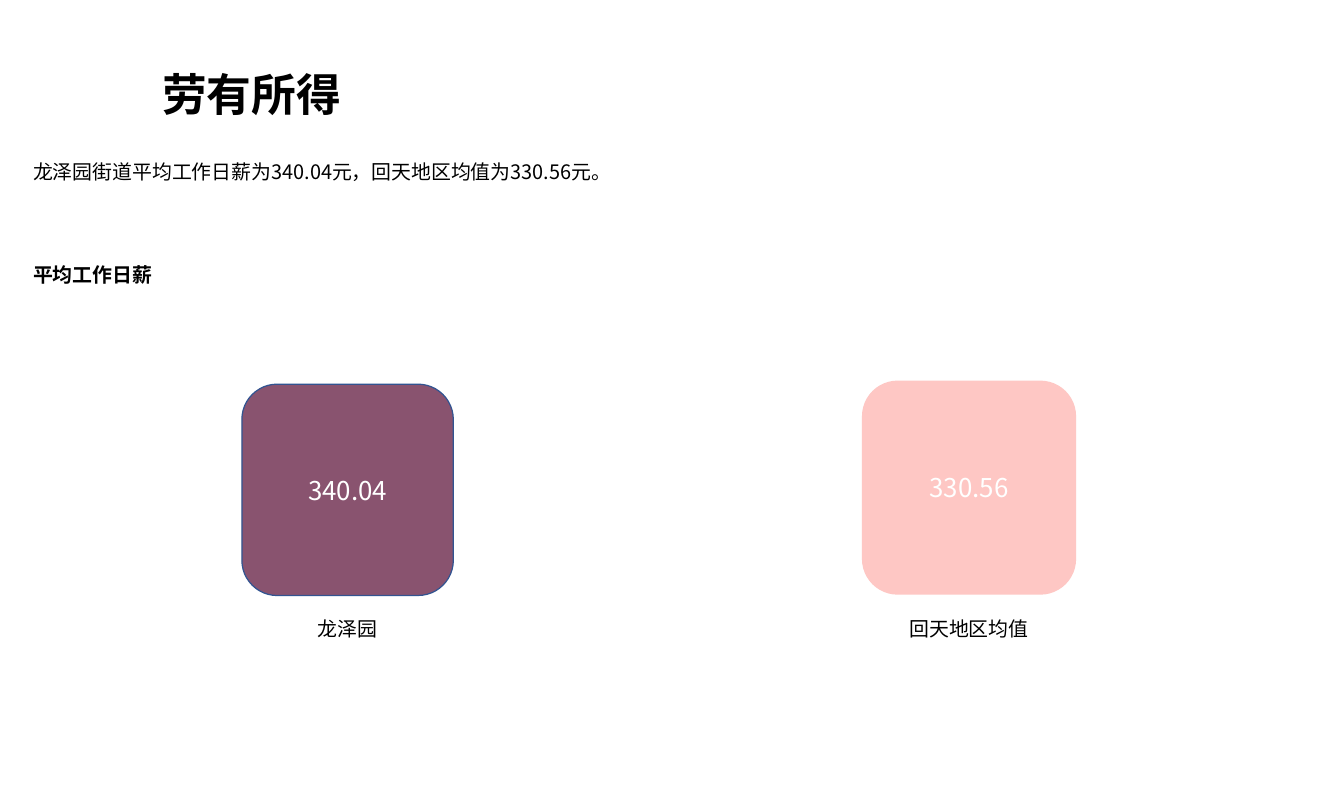
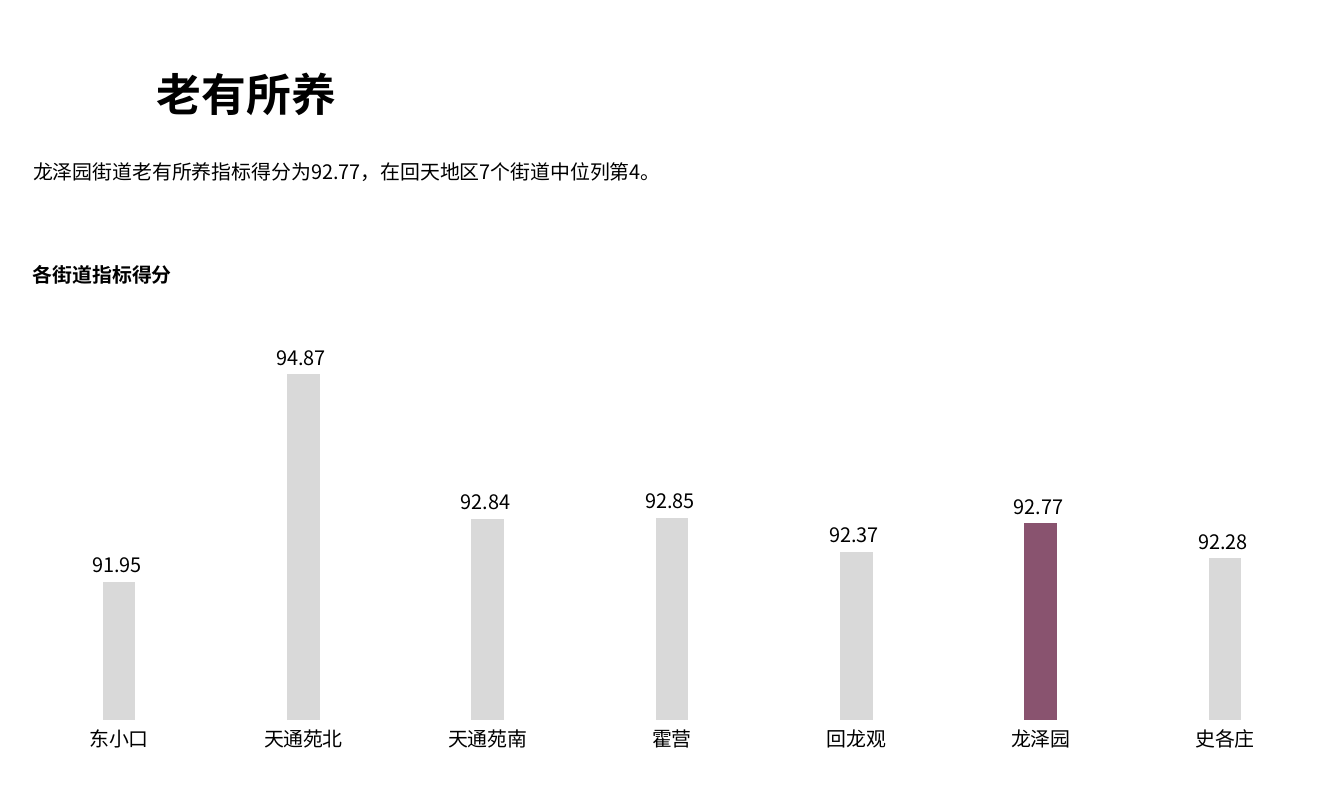
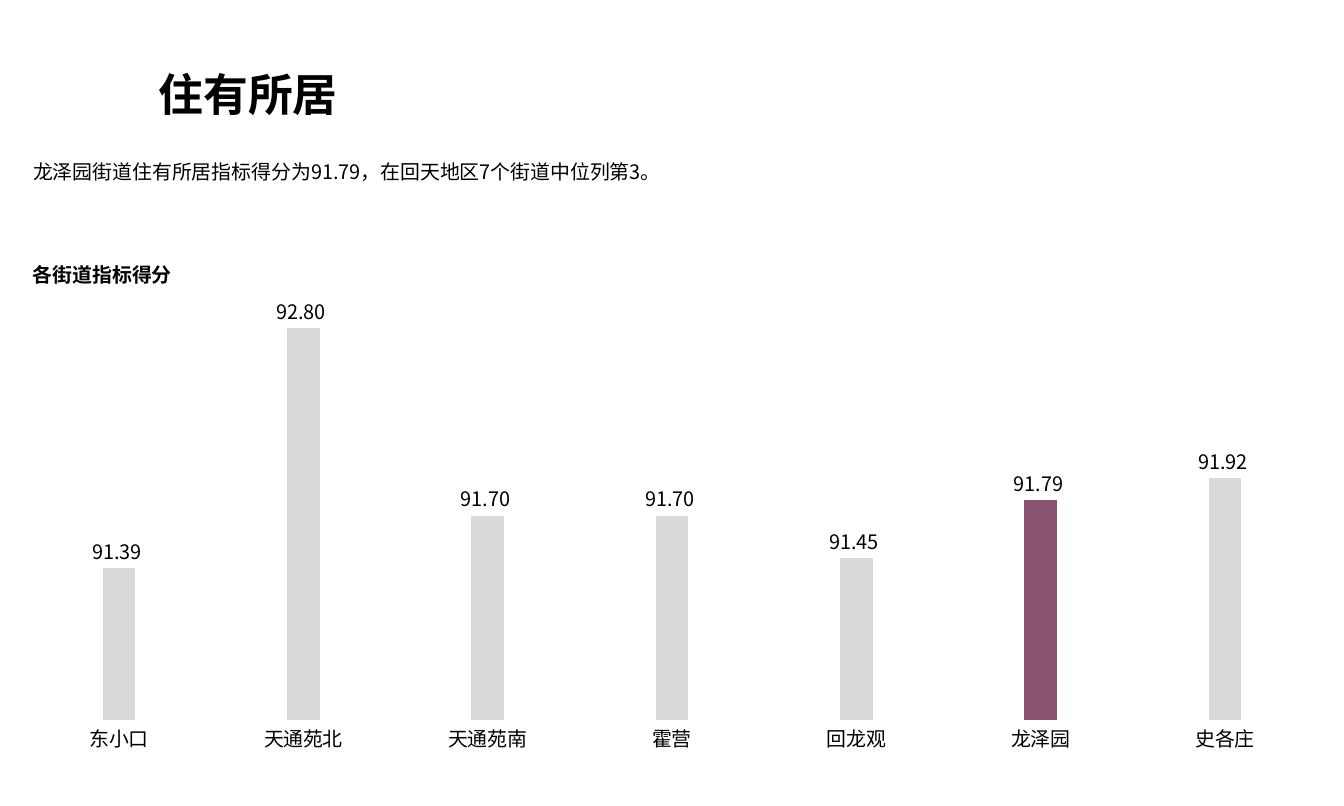
from lxml.etree import SubElement
from pptx import Presentation
from pptx.chart.data import CategoryChartData
from pptx.dml.color import RGBColor
from pptx.enum.chart import (XL_CHART_TYPE as ChartType, XL_LABEL_POSITION as LabelPosition,
                             XL_TICK_MARK as TickMark)
from pptx.enum.shapes import MSO_SHAPE as Shape
from pptx.enum.text import MSO_ANCHOR as Anchor, MSO_AUTO_SIZE as AutoSize, PP_ALIGN as Align
from pptx.oxml.ns import qn
from pptx.util import Inches, Pt

FONT = "Noto Sans CJK SC"
BLACK, WHITE = "000000", "FFFFFF"
PLUM, PINK, GREY, BLUE = "89536F", "FEC7C4", "D9D9D9", "325491"
BODY_SIZE, VALUE_SIZE, TITLE_SIZE = 16, 20.8, 36
COLUMNS, ROWS = 15, 9
MARGIN = 0.27
LINE_HEIGHT = 0.37
SCORE_FORMAT = "0.00_ "
STREETS = ["东小口", "天通苑北", "天通苑南", "霍营", "回龙观", "龙泽园", "史各庄"]
HOME_STREET = "龙泽园"


def color(hex_code):
    """Turn a hex string into a colour."""
    return RGBColor.from_string(hex_code)


def paint(fill, hex_code):
    """Make a fill solid in one colour."""
    fill.solid()
    fill.fore_color.rgb = color(hex_code)


def style_font(font, size=BODY_SIZE, hex_code=BLACK, bold=False):
    """Set the typeface, size, colour and weight of a font."""
    font.name, font.size, font.bold = FONT, Pt(size), bold
    font.color.rgb = color(hex_code)


def set_east_asian(element, tag):
    """Use the deck's typeface for Chinese text below an element."""
    for properties in element.iter(qn(tag)):
        SubElement(properties, qn("a:ea")).set("typeface", FONT)


def write(shape, text, size=BODY_SIZE, hex_code=BLACK, bold=False, align=Align.LEFT,
          anchor=Anchor.TOP, wrap=True, grow=True, spacing=1.0):
    """Put one formatted paragraph into a shape."""
    frame = shape.text_frame
    frame.word_wrap, frame.vertical_anchor = wrap, anchor
    frame.auto_size = AutoSize.SHAPE_TO_FIT_TEXT if grow else AutoSize.NONE
    paragraph = frame.paragraphs[0]
    paragraph.alignment, paragraph.line_spacing = align, spacing
    paragraph.space_before = Pt(0)
    run = paragraph.add_run()
    run.text = text
    style_font(run.font, size, hex_code, bold)
    set_east_asian(shape.element, "a:rPr")


class Deck:
    """Holds the shared style and the current slide."""

    def __init__(self):
        """Start an empty deck with a grid of columns and rows."""
        self.file = Presentation()
        self.file.slide_width, self.file.slide_height = Inches(15), Inches(9)
        self.column = self.file.slide_width / COLUMNS
        self.row = self.file.slide_height / ROWS
        self.slide = None

    def area(self, left, top, width, height):
        """Convert columns and rows to lengths."""
        return [int(left * self.column), int(top * self.row),
                int(width * self.column), int(height * self.row)]

    def place(self, shape, *cells):
        """Move a shape to an area of the grid."""
        shape.left, shape.top, shape.width, shape.height = self.area(*cells)

    def add_page(self, title, title_left, summary, heading, heading_width):
        """Start a slide with its title, summary and section heading."""
        self.slide = self.file.slides.add_slide(self.file.slide_layouts[1])
        title_holder, summary_holder = self.slide.placeholders
        self.place(title_holder, title_left, 0.39, 3.04, 0.9)
        write(title_holder, title, size=TITLE_SIZE, bold=True, spacing=1.5)
        self.place(summary_holder, MARGIN, 1.73, COLUMNS - 2 * MARGIN, LINE_HEIGHT)
        write(summary_holder, summary, anchor=Anchor.MIDDLE)
        for properties in summary_holder.element.iter(qn("a:pPr")):
            properties.set("marL", "0")
            properties.set("indent", "0")
            SubElement(properties, qn("a:buNone"))
        self.add_label(heading, MARGIN, 2.88, heading_width, bold=True)

    def add_label(self, text, left, top, width, **style):
        """Add one line of text that does not wrap."""
        label = self.slide.shapes.add_textbox(*self.area(left, top, width, LINE_HEIGHT))
        write(label, text, wrap=False, **style)

    def add_wage_tile(self, wage, left, top, side, fill, outline=None):
        """Add a rounded square with a daily wage in it."""
        tile = self.slide.shapes.add_shape(Shape.ROUNDED_RECTANGLE,
                                           *self.area(left, top, side, side))
        tile.shadow.inherit = False
        paint(tile.fill, fill)
        if outline:
            paint(tile.line.fill, outline)
            tile.line.width = Pt(1)
        else:
            tile.line.fill.background()
        write(tile, wage, size=VALUE_SIZE, hex_code=WHITE, align=Align.CENTER,
              anchor=Anchor.MIDDLE, grow=False)

    def add_score_chart(self, scores, lowest, highest):
        """Add the street scores as columns, with the home street marked."""
        data = CategoryChartData(number_format=SCORE_FORMAT)
        data.categories = STREETS
        data.add_series("Series 1", scores)
        chart = self.slide.shapes.add_chart(ChartType.COLUMN_CLUSTERED,
                                            *self.area(0, 3.18, COLUMNS, 5.32), data).chart
        chart.has_title = chart.has_legend = False

        score_axis, street_axis = chart.value_axis, chart.category_axis
        score_axis.minimum_scale, score_axis.maximum_scale = lowest, highest
        score_axis.has_major_gridlines = score_axis.visible = False
        street_axis.major_tick_mark = street_axis.minor_tick_mark = TickMark.NONE
        street_axis.format.line.fill.background()

        plot = chart.plots[0]
        plot.gap_width, plot.overlap, plot.vary_by_categories = 464, -27, False
        plot.has_data_labels = True
        labels = plot.data_labels
        labels.show_value, labels.position = True, LabelPosition.OUTSIDE_END
        labels.number_format, labels.number_format_is_linked = SCORE_FORMAT, False
        columns = plot.series[0]
        paint(columns.format.fill, GREY)
        paint(columns.points[STREETS.index(HOME_STREET)].format.fill, PLUM)

        for font in (chart.font, street_axis.tick_labels.font, labels.font):
            style_font(font)
        set_east_asian(chart.element, "a:defRPr")


deck = Deck()
deck.add_page("劳有所得", 1.71, "龙泽园街道平均工作日薪为340.04元，回天地区均值为330.56元。",
              "平均工作日薪", 1.55)
deck.add_wage_tile("340.04", 2.7, 4.29, 2.36, PLUM, outline=BLUE)
deck.add_wage_tile("330.56", 9.62, 4.25, 2.39, PINK)
for region, left, width in [(HOME_STREET, 3.44, 0.88), ("回天地区均值", 10.04, 1.55)]:
    deck.add_label(region, left, 6.84, width, align=Align.CENTER)

SCORE_PAGES = [
    ("老有所养", 1.65, "92.77", 4, [91.95, 94.87, 92.84, 92.85, 92.37, 92.77, 92.28], 90, 96),
    ("住有所居", 1.67, "91.79", 3, [91.39, 92.8, 91.7, 91.7, 91.45, 91.79, 91.92], 90.5, 93),
]
for topic, title_left, score, rank, scores, lowest, highest in SCORE_PAGES:
    deck.add_page(topic, title_left,
                  f"龙泽园街道{topic}指标得分为{score}，在回天地区7个街道中位列第{rank}。",
                  "各街道指标得分", 1.77)
    deck.add_score_chart(scores, lowest, highest)

deck.file.save("out.pptx")
